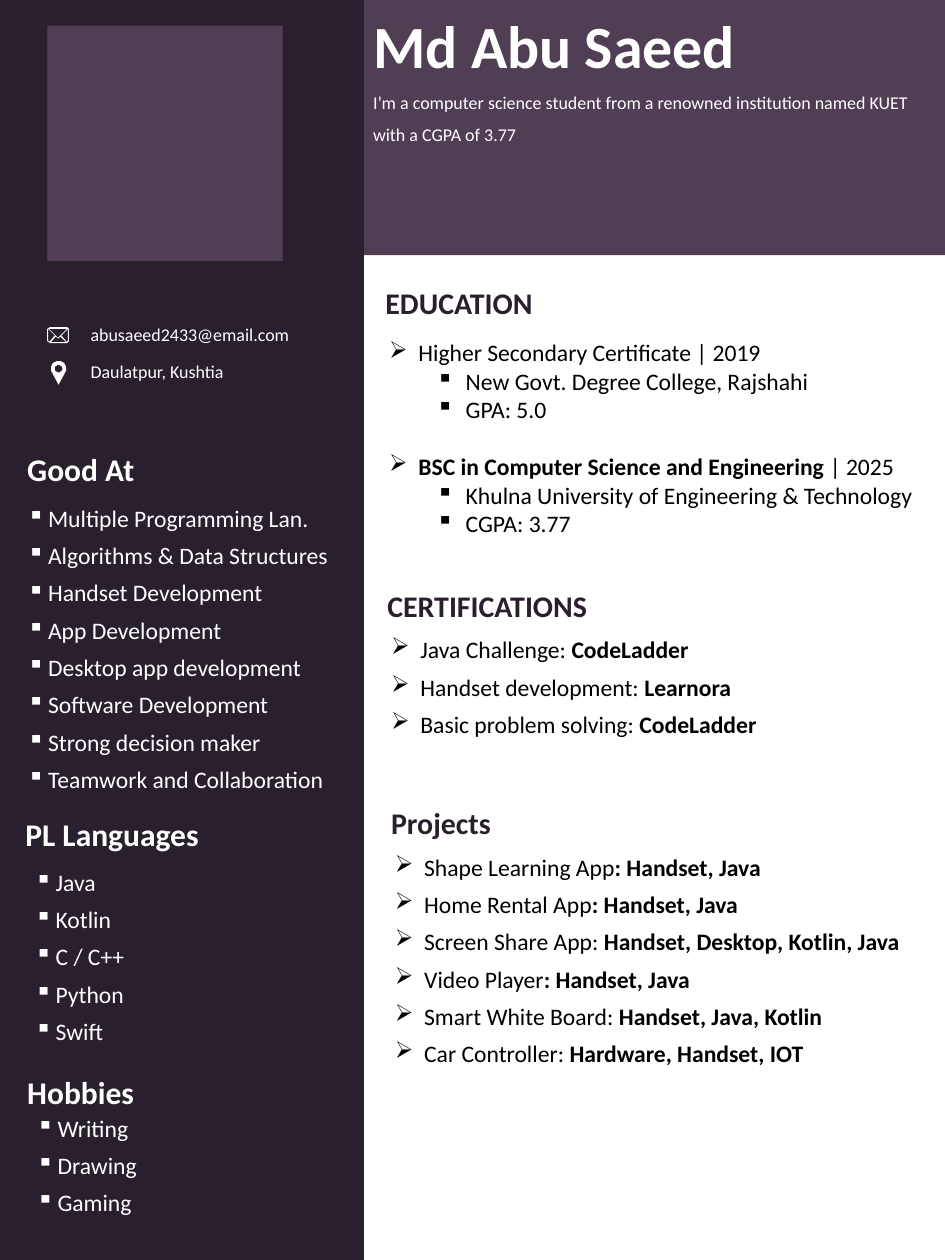
"""Build a one-page résumé with a dark sidebar and a list for each section."""
from math import cos, radians, sin

from lxml.etree import SubElement
from pptx import Presentation
from pptx.dml.color import RGBColor
from pptx.enum.shapes import MSO_SHAPE as SHAPE
from pptx.enum.text import MSO_ANCHOR as ANCHOR, PP_ALIGN as ALIGN
from pptx.oxml.ns import qn
from pptx.util import Pt

PX = 9144
DARK, PLUM, WHITE, BLACK = "2A1F2C", "4F3E54", "FFFFFF", "000000"


def paint(shape, color):
    shape.fill.solid()
    shape.fill.fore_color.rgb = RGBColor.from_string(color)
    shape.line.fill.background()
    shape.shadow.inherit = False


def write(box, lines, size, color, mark=None, hang=0, gap=0):
    frame = shapes.add_textbox(*[n * PX for n in box]).text_frame
    frame.word_wrap = True
    for i, line in enumerate(lines):
        para = frame.add_paragraph() if i else frame.paragraphs[0]
        para.space_before = para.space_after = Pt(gap)
        sub = line.startswith(">")
        for j, part in enumerate(line.lstrip(">").split("*")):
            if part:
                run = para.add_run()
                run.text = part
                run.font.name, run.font.size, run.font.bold = "Calibri", Pt(size), j % 2 == 1
                run.font.color.rgb = RGBColor.from_string(color)
        if mark:
            para.level = int(sub)
            props = para._p.get_or_add_pPr()
            props.set("marL", str((hang + 50 * sub) * PX))
            props.set("indent", str(-hang * PX))
            SubElement(props, qn("a:buChar")).set("char", "▪" if sub else mark)
    return frame


deck = Presentation()
deck.slide_width, deck.slide_height = 1000 * PX, 1333 * PX
shapes = deck.slides.add_slide(deck.slide_layouts[6]).shapes

for box, color in [
    ((385, 0, 615, 270), PLUM),
    ((0, 0, 385, 1333), DARK),
    ((50, 27, 249, 249), PLUM),
]:
    paint(shapes.add_shape(SHAPE.RECTANGLE, *[n * PX for n in box]), color)

head = write((385, 4, 586, 156), ["*Md Abu Saeed*"], 45.6, WHITE)
head.paragraphs[0].alignment = ALIGN.JUSTIFY
intro = head.add_paragraph()
intro.text = "I’m a computer science student from a renowned institution named KUET with a CGPA of 3.77"
intro.alignment, intro.line_spacing = ALIGN.JUSTIFY, 1.5
font = intro.runs[0].font
font.name, font.size = "Calibri", Pt(13.7)
font.color.rgb = RGBColor.from_string(WHITE)

hole = [(62 + 4 * cos(radians(a)), 390 + 4 * sin(radians(a))) for a in range(0, 360, 20)]
drop = [(62 + 8 * cos(radians(a)), 390 + 8 * sin(radians(a))) for a in range(150, 391, 15)]
pin = [drop + [(62, 407)], hole]
mail = [
    [(53, 346), (71, 346), (73, 348), (73, 361), (71, 363), (53, 363), (50, 361), (50, 348)],
    [(59, 356), (54, 362), (70, 362), (64, 356), (62, 358), (61, 358)],
    [(72, 348), (65, 355), (71, 362), (72, 360)],
    [(51, 348), (51, 360), (52, 362), (58, 355)],
    [(52, 348), (61, 357), (62, 357), (71, 348)],
]
for icon in (mail, pin):
    form = shapes.build_freeform(*icon[0][0], scale=PX)
    form.add_line_segments(icon[0][1:])
    for ring in icon[1:]:
        form.move_to(*ring[0])
        form.add_line_segments(ring[1:])
    paint(form.convert_to_shape(), WHITE)

for top, text in [(337, "abusaeed2433@email.com"), (377, "Daulatpur, Kushtia")]:
    write((86, top, 260, 33), [text], 13.7, WHITE)

for left, top, text, size, color in [
    (19, 473, "Good At", 24, WHITE),
    (17, 859, "PL Languages", 24, WHITE),
    (19, 1132, "Hobbies", 24, WHITE),
    (398, 297, "EDUCATION", 22.8, DARK),
    (400, 617, "CERTIFICATIONS", 22.8, DARK),
    (404, 847, "Projects", 22.8, DARK),
]:
    title = write((left, top, 350, 47), [f"*{text}*"], size, color)
    title.vertical_anchor = ANCHOR.MIDDLE

skills = ["Multiple Programming Lan.", "Algorithms & Data Structures", "Handset Development",
          "App Development", "Desktop app development", "Software Development",
          "Strong decision maker", "Teamwork and Collaboration"]
for box, lines in [
    ((19, 528, 351, 402), skills),
    ((27, 913, 301, 195), ["Java", "Kotlin", "C / C++", "Python", "Swift"]),
    ((29, 1173, 301, 118), ["Writing", "Drawing", "Gaming"]),
]:
    write(box, lines, 18, WHITE, "▪", 22, 3.4)

study = write((402, 353, 575, 237), [
    "Higher Secondary Certificate | 2019",
    ">New Govt. Degree College, Rajshahi",
    ">GPA: 5.0",
    "*BSC in Computer Science and Engineering *| 2025",
    ">Khulna University of Engineering & Technology",
    ">CGPA: 3.77",
], 18, BLACK, "➢", 31)
study.paragraphs[3].space_before = Pt(22)

courses = ["Java Challenge: *CodeLadder*", "Handset development: *Learnora*",
           "Basic problem solving: *CodeLadder*"]
works = ["Shape Learning App*: Handset, Java*", "Home Rental App*: Handset, Java*",
         "Screen Share App: *Handset, Desktop, Kotlin, Java*", "Video Player*: Handset, Java*",
         "Smart White Board: *Handset, Java, Kotlin*", "Car Controller:* Hardware, Handset, IOT*"]
for box, lines in [((404, 667, 571, 124), courses), ((408, 897, 571, 234), works)]:
    write(box, lines, 18, BLACK, "➢", 31, 3.4)

deck.save("out.pptx")
